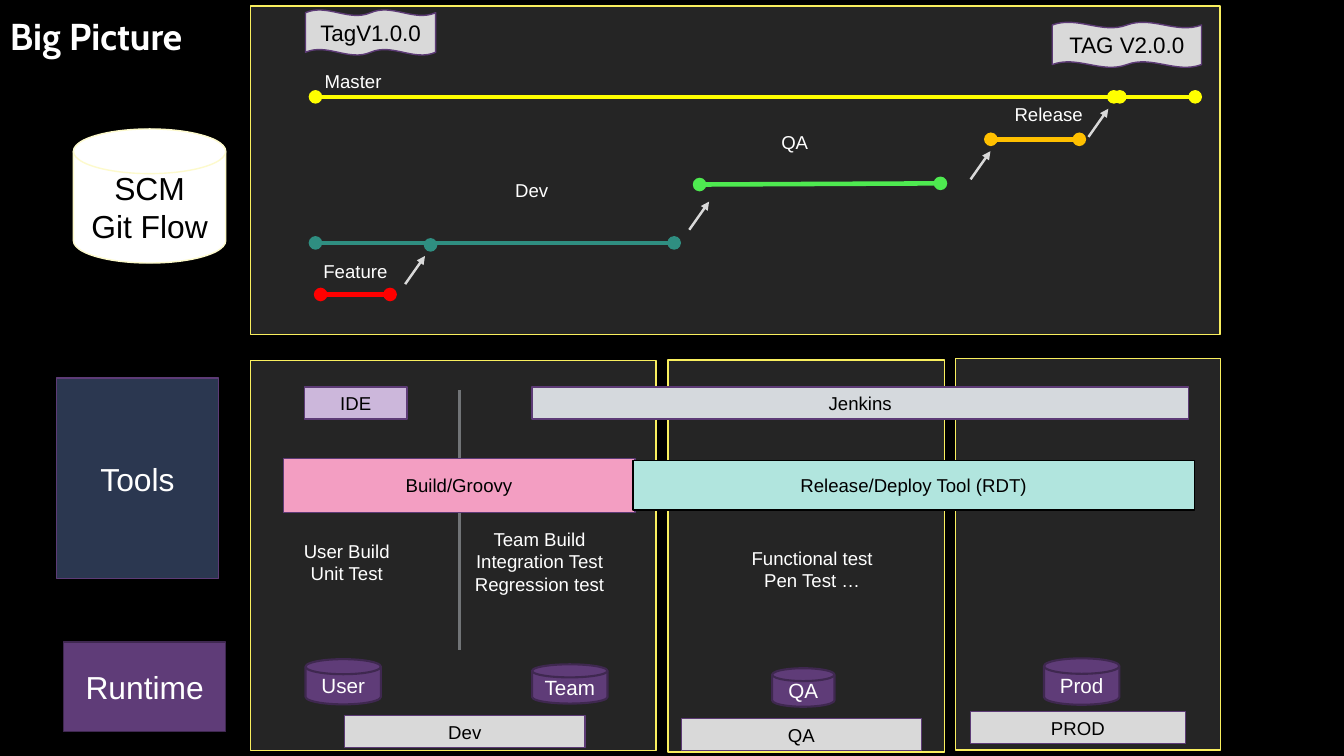
from lxml import etree
from pptx import Presentation
from pptx import util as u
from pptx.dml.color import RGBColor
from pptx.enum import shapes, text
from pptx.oxml import ns

KIND = shapes.MSO_SHAPE
WHITE, BLACK, GREY = "FFFFFF", "000000", "D9D9D9"
PURPLE, PLUM, EDGE = "5F3C78", "3F2850", "5D3B76"
YELLOW, TEAL = "FFFF00", "2F8E81"


def paint(target, colour):
    if colour is None:
        target.background()
        return
    target.solid()
    target.fore_color.rgb = RGBColor.from_string(colour)


def write(frame, words, size=13.3, font="Arial", colour=WHITE, bold=False,
          align=text.PP_ALIGN.CENTER, left=0, spacing=None):
    frame.word_wrap = True
    frame.auto_size = text.MSO_AUTO_SIZE.NONE
    frame.vertical_anchor = text.MSO_ANCHOR.MIDDLE
    frame.margin_left = u.Cm(left)
    frame.margin_right = frame.margin_top = frame.margin_bottom = u.Cm(0)
    for index, line in enumerate(words.split("\n")):
        para = frame.add_paragraph() if index else frame.paragraphs[0]
        para.alignment = align
        para.line_spacing = spacing
        span = para.add_run()
        span.text = line
        span.font.size = u.Pt(size)
        span.font.name = font
        span.font.bold = bold
        paint(span.font.fill, colour)


def add_box(page, kind, place, fill=None, edge=None, weight=1, words=None, **style):
    box = page.shapes.add_shape(kind, *map(u.Cm, place))
    box.shadow.inherit = False
    paint(box.fill, fill)
    paint(box.line.fill, edge)
    if edge:
        box.line.width = u.Pt(weight)
    if words:
        write(box.text_frame, words, **style)
    return box


def add_panel(page, place):
    panel = add_box(page, KIND.RECTANGLE, place, "404040", "F9EF5E")
    colour = panel.fill._xPr.find(".//" + ns.qn("a:srgbClr"))
    etree.SubElement(colour, ns.qn("a:alpha"), val="59000")


def add_line(page, start, end, colour, weight, head=None, tail=None):
    line = page.shapes.add_connector(
        shapes.MSO_CONNECTOR.STRAIGHT, *map(u.Cm, start + end))
    paint(line.line.fill, colour)
    line.line.width = u.Pt(weight)
    outline = line.line._get_or_add_ln()
    for tag, ending in (("a:headEnd", head), ("a:tailEnd", tail)):
        if ending:
            etree.SubElement(outline, ns.qn(tag), type=ending)
    etree.SubElement(line._element.spPr, ns.qn("a:effectLst"))


def add_title(page, words):
    title = page.shapes.title
    title.left, title.top = u.Cm(0), u.Cm(0.03)
    title.width, title.height = u.Cm(29.21), u.Cm(1.88)
    write(title.text_frame, words, size=26.7, font="Cabin", bold=True,
          align=text.PP_ALIGN.LEFT, left=0.25, spacing=0.9)


def add_git_flow(page):
    for left, top, width, words in (
            (7.7, 0.25, 3.28, "TagV1.0.0"), (26.52, 0.56, 3.76, "TAG V2.0.0")):
        add_box(page, KIND.DOUBLE_WAVE, (left, top, width, 1.14), GREY, EDGE,
                words=words, size=16, colour=BLACK)
    for left, top, words in (
            (7.26, 1.85, "Master"), (24.79, 2.69, "Release"), (18.39, 3.4, "QA"),
            (11.76, 4.6, "Dev"), (7.32, 6.63, "Feature")):
        add_box(page, KIND.ROUNDED_RECTANGLE, (left, top, 3.28, 0.38), words=words)
    for start, end, colour, tail in (
            ((28.22, 2.44), (28.07, 2.44), YELLOW, "oval"),
            ((24.97, 3.51), (27.2, 3.51), "FFC000", "oval"),
            ((8.08, 7.42), (9.83, 7.42), "FF0000", "oval"),
            ((7.95, 6.12), (16.99, 6.12), TEAL, "oval"),
            ((10.85, 6.17), (10.97, 6.17), TEAL, None),
            ((17.63, 4.65), (23.7, 4.62), "4EEA50", "oval"),
            ((7.95, 2.44), (30.12, 2.44), YELLOW, "oval")):
        add_line(page, start, end, colour, 3.25, "oval", tail)
    for left, top in ((10.21, 7.16), (17.37, 5.79), (24.46, 4.52), (27.43, 3.45)):
        add_line(page, (left, top), (left + 0.5, top - 0.71), GREY, 1.75,
                 tail="triangle")


def add_tools(page):
    for place, fill, edge, words in (
            ((7.67, 9.75, 2.59, 0.81), "CCB7DB", EDGE, "IDE"),
            ((13.41, 9.75, 16.54, 0.81), "D5D9DD", EDGE, "Jenkins"),
            ((7.14, 11.56, 8.86, 1.35), "F39EC2", EDGE, "Build/Groovy"),
            ((15.95, 11.61, 14.15, 1.24), "B1E5DE", BLACK,
             "Release/Deploy Tool (RDT)"),
            ((8.69, 18.03, 6.05, 0.81), GREY, EDGE, "Dev"),
            ((17.17, 18.11, 6.05, 0.81), GREY, EDGE, "QA"),
            ((24.46, 17.93, 5.41, 0.81), GREY, EDGE, "PROD")):
        add_box(page, KIND.RECTANGLE, place, fill, edge, words=words, colour=BLACK)
    for place, words in (
            ((7.14, 13.36, 3.2, 1.6), "User Build\nUnit Test"),
            ((11.58, 13.26, 4.04, 1.78),
             "Team Build\nIntegration Test\nRegression test"),
            ((18.59, 13.39, 3.76, 1.9), "Functional test\nPen Test …")):
        add_box(page, KIND.ROUNDED_RECTANGLE, place, words=words)


def add_runtimes(page):
    for place, words in (
            ((7.7, 16.61, 1.9, 1.14), "User"), ((13.41, 16.74, 1.9, 0.99), "Team"),
            ((19.46, 16.84, 1.57, 0.97), "QA"), ((26.31, 16.59, 1.9, 1.17), "Prod")):
        add_box(page, KIND.FLOWCHART_MAGNETIC_DISK, place, PURPLE, PLUM, 1.5,
                words=words, size=14.7)


def add_row_names(page):
    for kind, place, fill, edge, words, colour in (
            (KIND.FLOWCHART_MAGNETIC_DISK, (1.85, 3.25, 3.84, 3.38),
             WHITE, "FDFACC", "SCM\nGit Flow", BLACK),
            (KIND.RECTANGLE, (1.42, 9.53, 4.09, 5.05), "2B3750", EDGE, "Tools", WHITE),
            (KIND.RECTANGLE, (1.6, 16.18, 4.09, 2.26), PURPLE, PLUM, "Runtime", WHITE)):
        add_box(page, kind, place, fill, edge, words=words, size=22.7, colour=colour)


def main():
    deck = Presentation()
    deck.slide_width, deck.slide_height = u.Cm(33.87), u.Cm(19.05)
    page = deck.slides.add_slide(deck.slide_layouts[5])
    paint(page.background.fill, BLACK)
    add_title(page, "Big Picture")
    add_line(page, (11.58, 9.83), (11.58, 16.38), "B9BFC7", 1.75)
    for place in ((6.32, 0.15, 24.43, 8.28), (6.32, 9.09, 10.21, 9.83),
                  (16.84, 9.07, 6.96, 9.88), (24.08, 9.04, 6.68, 9.86)):
        add_panel(page, place)
    add_row_names(page)
    add_git_flow(page)
    add_tools(page)
    add_runtimes(page)
    deck.save("out.pptx")


if __name__ == "__main__":
    main()
